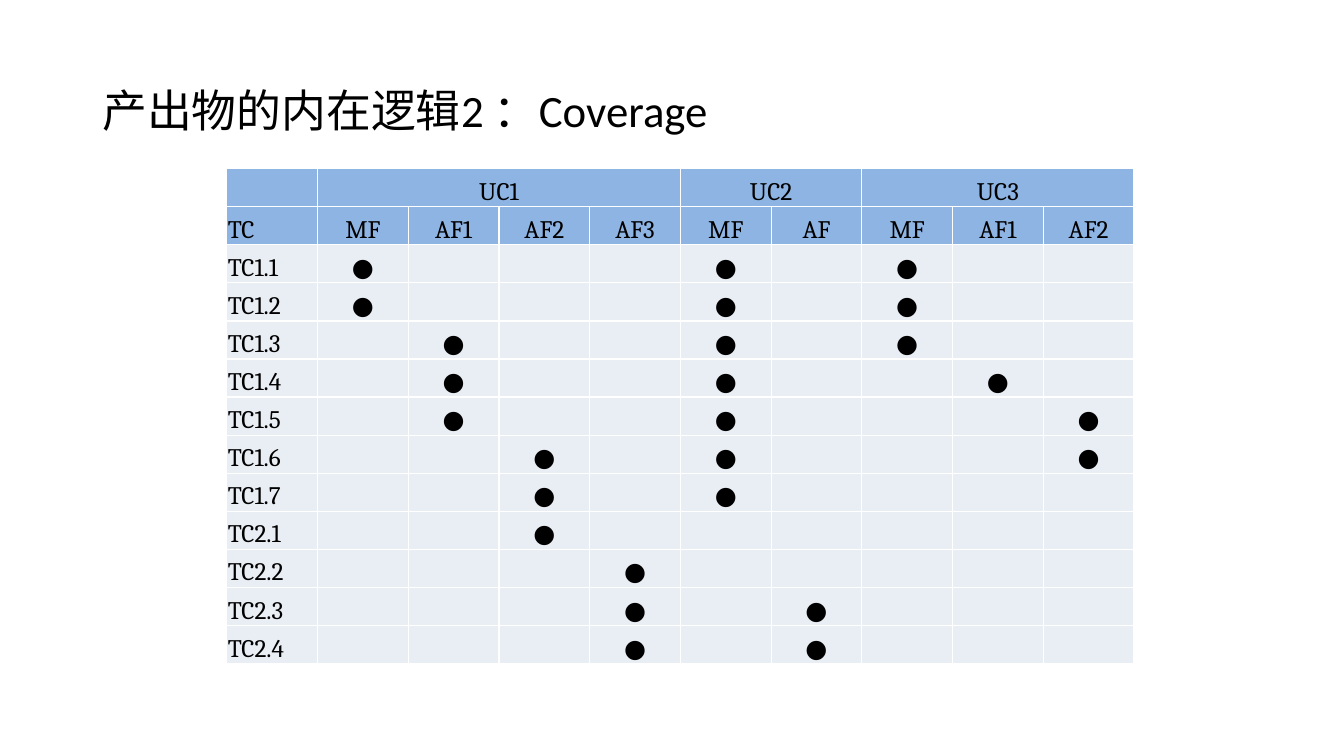
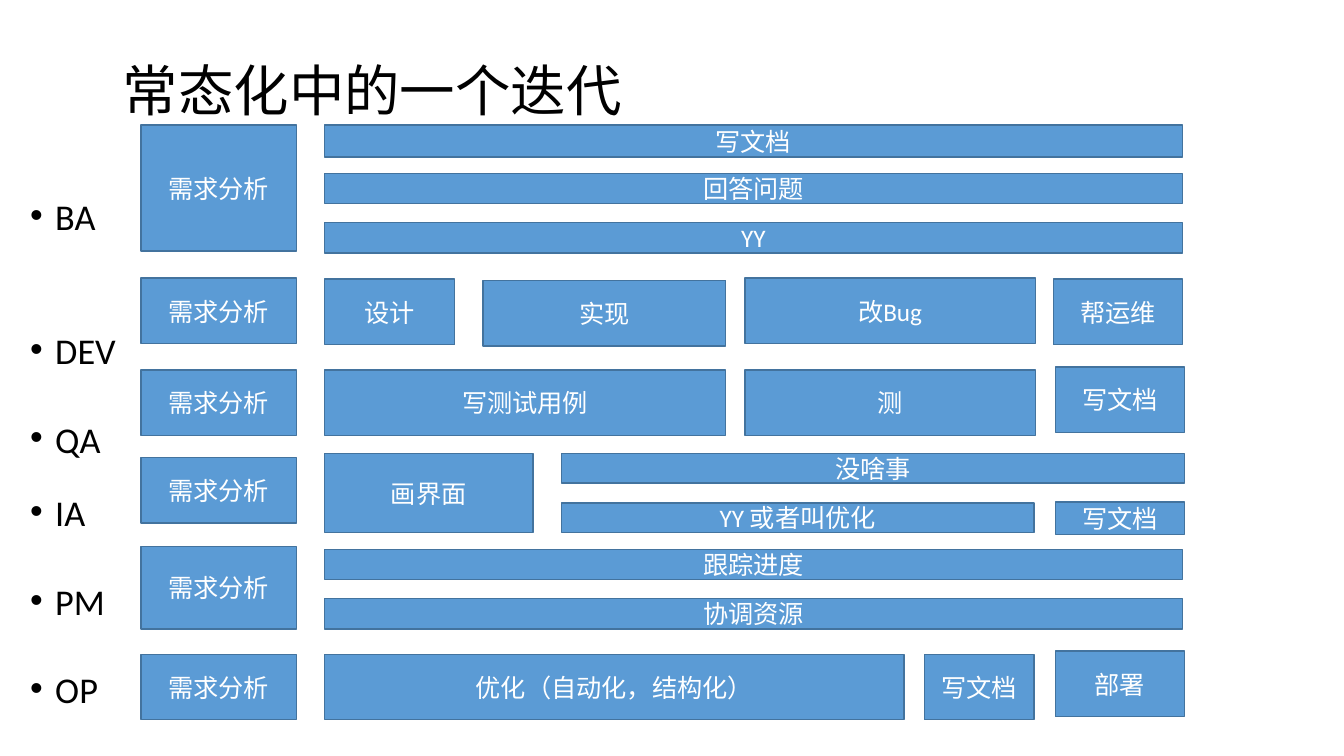
from dataclasses import dataclass

from lxml import etree
from pptx import Presentation
from pptx.dml.color import RGBColor
from pptx.enum.shapes import MSO_SHAPE
from pptx.enum.text import MSO_ANCHOR, PP_ALIGN
from pptx.oxml.ns import qn
from pptx.slide import Slide
from pptx.table import _Cell
from pptx.text.text import _Paragraph
from pptx.util import Pt

PROCESS = MSO_SHAPE.FLOWCHART_PROCESS
MIDDLE, BOTTOM = MSO_ANCHOR.MIDDLE, MSO_ANCHOR.BOTTOM
LEFT, CENTER = PP_ALIGN.LEFT, PP_ALIGN.CENTER


@dataclass(frozen=True)
class Theme:
    text: str = "000000"
    on_box: str = "FFFFFF"
    box: str = "5B9BD5"
    box_line: str = "43739E"
    header: str = "8EB4E3"
    body: str = "E9EDF4"
    grid: str = "FFFFFF"
    sans: str = "Calibri"
    serif: str = "Cambria"
    label_size: float = 18
    role_size: float = 25.9
    line_width: float = 1


THEME = Theme()


@dataclass(frozen=True)
class Area:
    left: float
    top: float
    width: float
    height: float

    def lengths(self) -> tuple[Pt, Pt, Pt, Pt]:
        return Pt(self.left), Pt(self.top), Pt(self.width), Pt(self.height)


@dataclass(frozen=True)
class UseCase:
    name: str
    flows: tuple[str, ...]


@dataclass(frozen=True)
class TestCase:
    name: str
    covered: tuple[int, ...]


@dataclass(frozen=True)
class Task:
    label: str
    left: float
    width: float
    top: float
    height: float = 46.8


@dataclass(frozen=True)
class Lane:
    role: str
    space_before: float
    tasks: tuple[Task, ...]


USE_CASES = (
    UseCase("UC1", ("MF", "AF1", "AF2", "AF3")),
    UseCase("UC2", ("MF", "AF")),
    UseCase("UC3", ("MF", "AF1", "AF2")),
)
TEST_CASES = (
    TestCase("TC1.1", (1, 5, 7)),
    TestCase("TC1.2", (1, 5, 7)),
    TestCase("TC1.3", (2, 5, 7)),
    TestCase("TC1.4", (2, 5, 8)),
    TestCase("TC1.5", (2, 5, 9)),
    TestCase("TC1.6", (3, 5, 9)),
    TestCase("TC1.7", (3, 5)),
    TestCase("TC2.1", (3,)),
    TestCase("TC2.2", (4,)),
    TestCase("TC2.3", (4, 6)),
    TestCase("TC2.4", (4, 6)),
)
TABLE_LEFT, TABLE_TOP = 162, 120.5
COLUMN_WIDTH, ROW_HEIGHT = 64.8, 27.2
CELL_INSET = 0.72

WORK_LEFT, FULL_WIDTH = 231.8, 612.7
FIX_LEFT, FIX_WIDTH = 532.1, 207.4
LAST_LEFT, LAST_WIDTH = 753.8, 92.2
IDLE_LEFT = 401
BAR_HEIGHT = 21.6


def analysis(top: float, height: float = 46.8) -> Task:
    return Task("需求分析", 100.8, 110.9, top, height)


def full_bar(label: str, top: float, height: float = BAR_HEIGHT) -> Task:
    return Task(label, WORK_LEFT, FULL_WIDTH, top, height)


LANES = (
    Lane("BA", 0, (
        analysis(89.3, 90),
        full_bar("写文档", 89.3, 23),
        full_bar("回答问题", 123.8),
        full_bar("YY", 159.1),
    )),
    Lane("DEV", 73.6, (
        analysis(198.7),
        Task("设计", WORK_LEFT, 92.9, 199.4),
        Task("实现", 344.9, 173.5, 200.2),
        Task("改Bug", FIX_LEFT, FIX_WIDTH, 198.7),
        Task("帮运维", 752.4, LAST_WIDTH, 199.4),
    )),
    Lane("QA", 41.5, (
        analysis(264.2),
        Task("写测试用例", WORK_LEFT, 286.6, 264.2),
        Task("测", FIX_LEFT, FIX_WIDTH, 264.2),
        Task("写文档", LAST_LEFT, LAST_WIDTH, 262.1),
    )),
    Lane("IA", 30.7, (
        analysis(326.9),
        Task("画界面", WORK_LEFT, 149, 324, 56.2),
        Task("没啥事", IDLE_LEFT, 445, 324, 20.9),
        Task("YY 或者叫优化", IDLE_LEFT, 337.7, 359.3, 20.9),
        Task("写文档", LAST_LEFT, LAST_WIDTH, 358.6, 23),
    )),
    Lane("PM", 42, (
        analysis(390.2, 59),
        full_bar("跟踪进度", 392.4),
        full_bar("协调资源", 427.7),
    )),
    Lane("OP", 41.2, (
        analysis(467.3),
        Task("优化（自动化，结构化）", WORK_LEFT, 414, 467.3),
        Task("写文档", 660.2, 78.5, 467.3),
        Task("部署", LAST_LEFT, LAST_WIDTH, 465.1),
    )),
)


def rgb(value: str) -> RGBColor:
    return RGBColor.from_string(value)


def add_run(paragraph: _Paragraph, text: str, size: float,
            color: str = THEME.text, font: str = THEME.sans) -> None:
    run = paragraph.add_run()
    run.text = text
    run.font.size = Pt(size)
    run.font.name = font
    run.font.color.rgb = rgb(color)


def add_title(slide: Slide, text: str, area: Area, size: float) -> None:
    frame = slide.shapes.add_textbox(*area.lengths()).text_frame
    frame.word_wrap = True
    frame.vertical_anchor = MIDDLE
    paragraph = frame.paragraphs[0]
    paragraph.line_spacing = 0.9
    add_run(paragraph, text, size)


def style_cell(cell: _Cell, color: str) -> None:
    properties = cell._tc.get_or_add_tcPr()
    for side in ("a:lnL", "a:lnR", "a:lnT", "a:lnB"):
        border = etree.SubElement(properties, qn(side), w=str(Pt(THEME.line_width)))
        fill = etree.SubElement(border, qn("a:solidFill"))
        etree.SubElement(fill, qn("a:srgbClr"), val=THEME.grid)
    cell.fill.solid()
    cell.fill.fore_color.rgb = rgb(color)
    cell.margin_left = cell.margin_right = cell.margin_top = Pt(CELL_INSET)
    cell.margin_bottom = Pt(0)
    cell.vertical_anchor = BOTTOM


def write_cell(cell: _Cell, text: str, align: PP_ALIGN = CENTER) -> None:
    paragraph = cell.text_frame.paragraphs[0]
    paragraph.alignment = align
    add_run(paragraph, text, THEME.label_size, font=THEME.serif)


def add_coverage(slide: Slide) -> None:
    flows = [flow for use_case in USE_CASES for flow in use_case.flows]
    rows, columns = len(TEST_CASES) + 2, len(flows) + 1
    area = Area(TABLE_LEFT, TABLE_TOP, columns * COLUMN_WIDTH, rows * ROW_HEIGHT)
    table = slide.shapes.add_table(rows, columns, *area.lengths()).table
    table.first_row = table.horz_banding = False
    for column in table.columns:
        column.width = Pt(COLUMN_WIDTH)
    for index, row in enumerate(table.rows):
        row.height = Pt(ROW_HEIGHT)
        for cell in row.cells:
            style_cell(cell, THEME.header if index < 2 else THEME.body)

    start = 1
    for use_case in USE_CASES:
        end = start + len(use_case.flows) - 1
        table.cell(0, start).merge(table.cell(0, end))
        write_cell(table.cell(0, start), use_case.name)
        start = end + 1
    write_cell(table.cell(1, 0), "TC", LEFT)
    for column, flow in enumerate(flows, 1):
        write_cell(table.cell(1, column), flow)
    for row, test_case in enumerate(TEST_CASES, 2):
        write_cell(table.cell(row, 0), test_case.name, LEFT)
        for column in test_case.covered:
            write_cell(table.cell(row, column), "●")


def add_task(slide: Slide, task: Task) -> None:
    area = Area(task.left, task.top, task.width, task.height)
    box = slide.shapes.add_shape(PROCESS, *area.lengths())
    box.shadow.inherit = False
    box.fill.solid()
    box.fill.fore_color.rgb = rgb(THEME.box)
    box.line.color.rgb = rgb(THEME.box_line)
    box.line.width = Pt(THEME.line_width)
    box.text_frame.vertical_anchor = MIDDLE
    paragraph = box.text_frame.paragraphs[0]
    paragraph.alignment = CENTER
    add_run(paragraph, task.label, THEME.label_size, THEME.on_box)


def add_roles(slide: Slide, area: Area) -> None:
    frame = slide.shapes.add_textbox(*area.lengths()).text_frame
    frame.word_wrap = True
    for index, lane in enumerate(LANES):
        paragraph = frame.add_paragraph() if index else frame.paragraphs[0]
        properties = paragraph._p.get_or_add_pPr()
        properties.set("marL", str(Pt(18)))
        properties.set("indent", str(Pt(-18)))
        etree.SubElement(properties, qn("a:buFont"), typeface="Arial")
        etree.SubElement(properties, qn("a:buChar"), char="•")
        paragraph.line_spacing = 0.7
        if index:
            paragraph.space_before = Pt(lane.space_before)
        add_run(paragraph, lane.role, THEME.role_size)


def main() -> None:
    deck = Presentation()
    deck.slide_width, deck.slide_height = Pt(960), Pt(540)
    blank = deck.slide_layouts[6]

    coverage = deck.slides.add_slide(blank)
    add_title(coverage, "产出物的内在逻辑2 ：Coverage", Area(66, 28.8, 828, 104.4), 32)
    add_coverage(coverage)

    iteration = deck.slides.add_slide(blank)
    add_title(iteration, "常态化中的一个迭代", Area(80.6, 46.1, 765.4, 41.8), 39.6)
    for lane in LANES:
        for task in lane.tasks:
            add_task(iteration, task)
    add_roles(iteration, Area(14.4, 144, 79.2, 387))

    deck.save("out.pptx")


if __name__ == "__main__":
    main()
